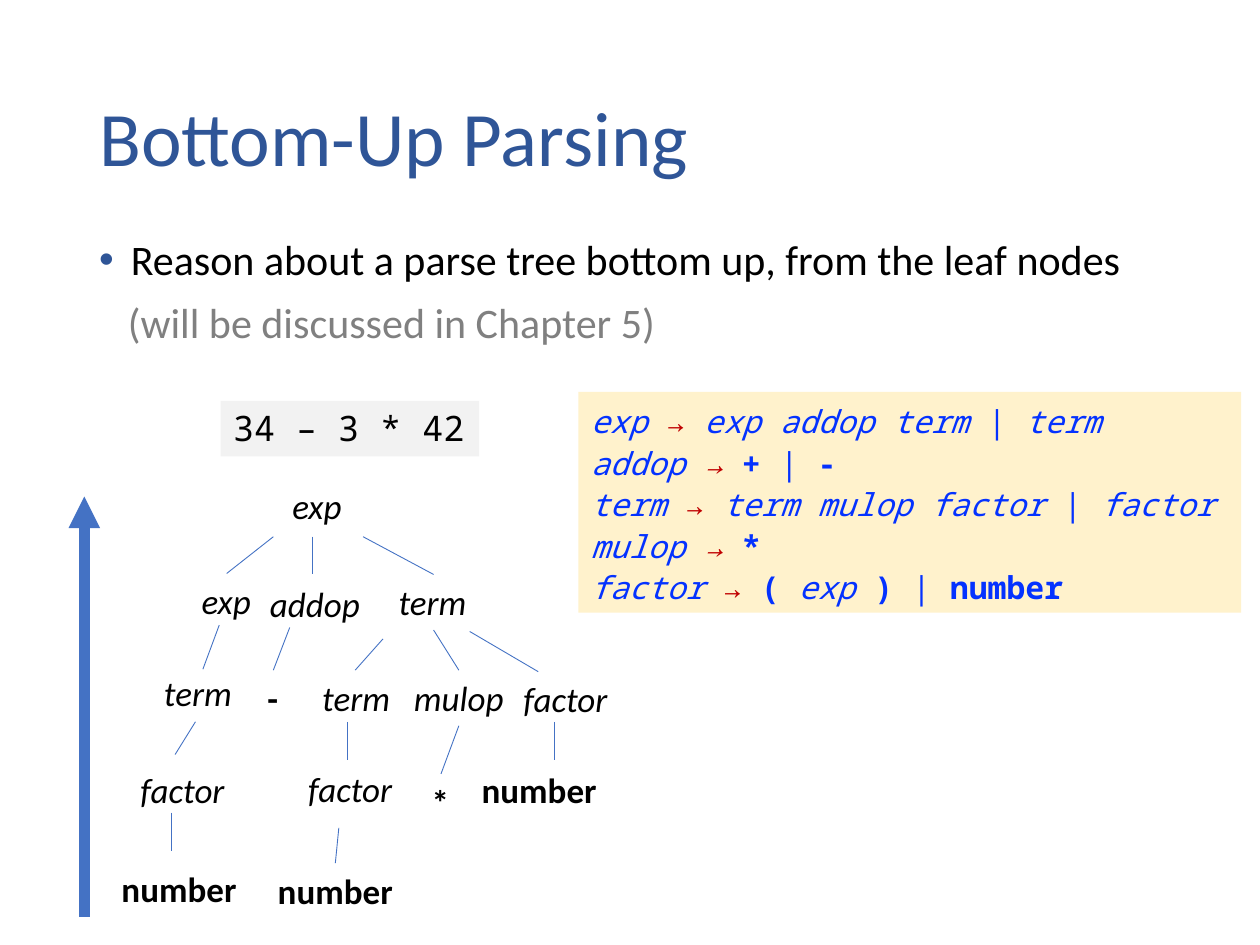
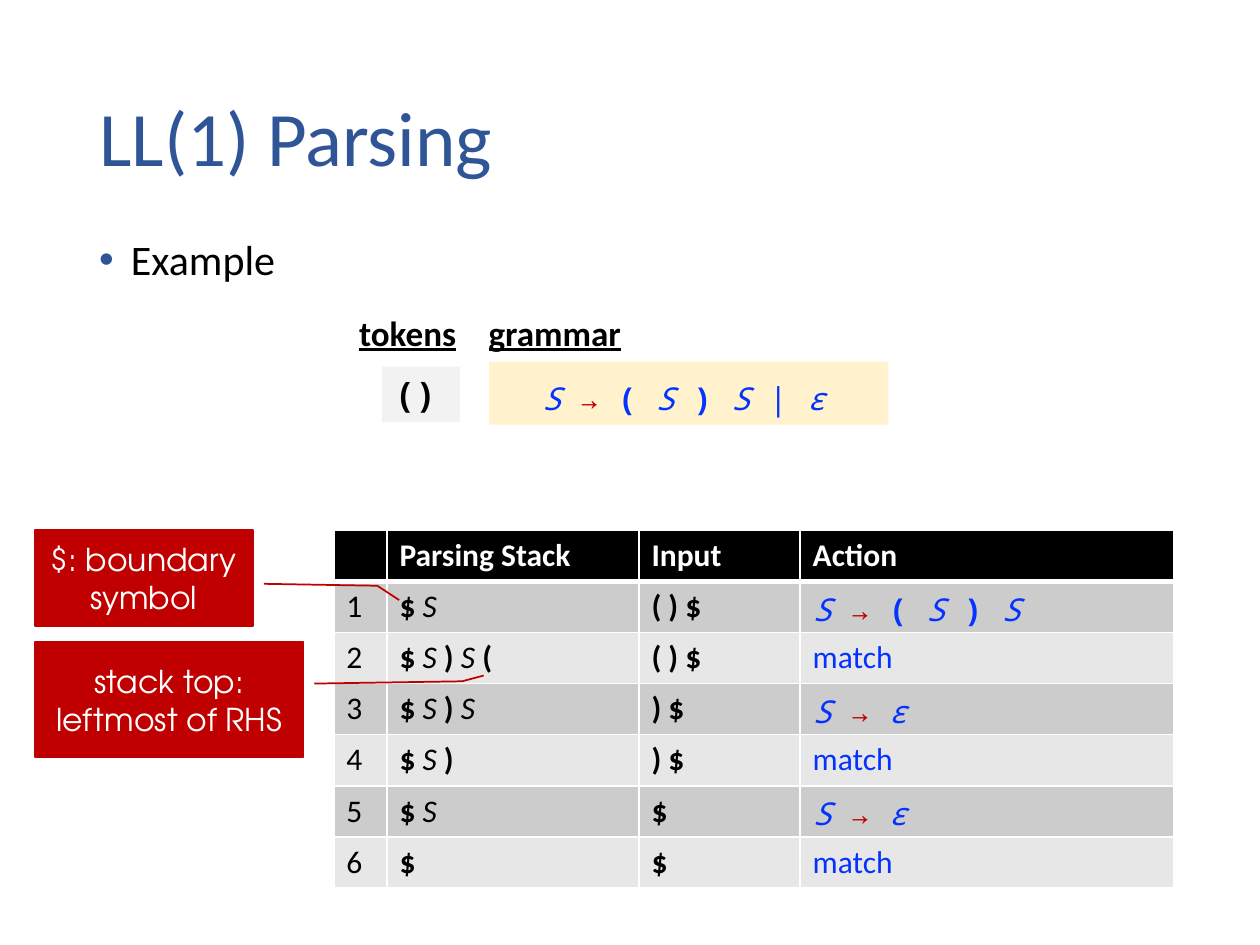
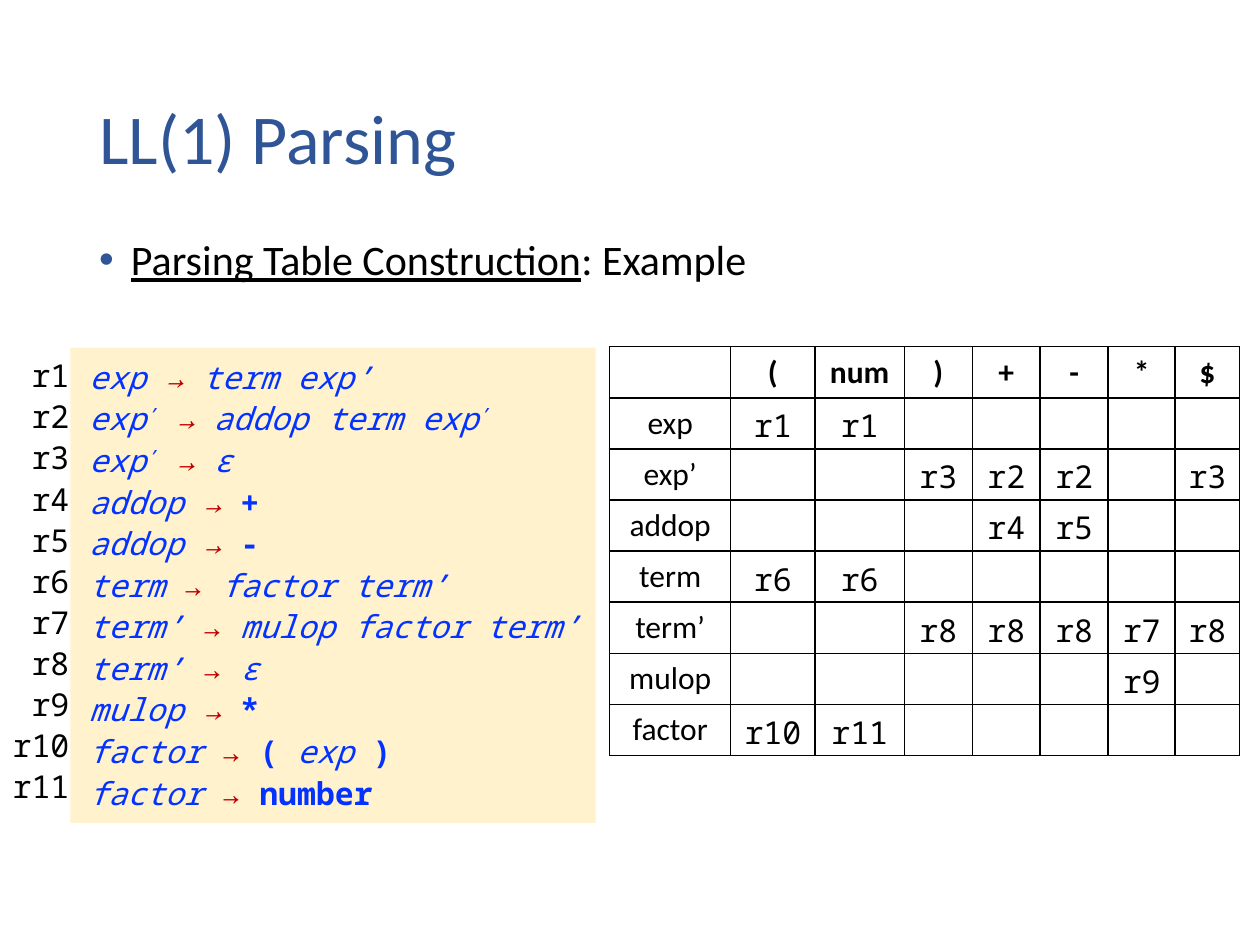
from itertools import groupby

from lxml.etree import SubElement
from pptx import Presentation
from pptx.dml.color import RGBColor
from pptx.enum.shapes import MSO_CONNECTOR, MSO_SHAPE
from pptx.enum.text import MSO_ANCHOR, MSO_AUTO_SIZE, PP_ALIGN
from pptx.oxml.ns import qn
from pptx.util import Cm, Pt

SANS, MONO, ROUND = "Calibri", "Noto Sans Mono", "TeX Gyre Adventor"
BLACK, WHITE, GRAY = "000000", "FFFFFF", "808080"
TITLE_BLUE, LINE_BLUE, RULE_BLUE = "2F5597", "4472C4", "0432FF"
RED, CREAM, PALE = "C00000", "FFF2CC", "F2F2F2"
BAND_DARK, BAND_LIGHT = "CCCCCC", "E7E7E7"
TERMINALS = {"+", "-", "*", "(", ")", "$", "number"}
CENTER, LEFT, RIGHT = PP_ALIGN.CENTER, PP_ALIGN.LEFT, PP_ALIGN.RIGHT


# Shared helpers
def rgb(hex_color):
    return RGBColor.from_string(hex_color)


def in_cm(box):
    return [Cm(length) for length in box]


def set_font(paragraph, name=SANS, size=20, color=BLACK, bold=False, italic=False):
    font = paragraph.font
    font.name, font.size = name, Pt(size)
    font.bold, font.italic = bold, italic
    font.color.rgb = rgb(color)


def write_line(paragraph, text, align=LEFT, **font):
    paragraph.text = text
    paragraph.alignment = align
    set_font(paragraph, **font)


def write_symbols(paragraph, text, name=MONO, color=RULE_BLUE):
    """Terminals are bold, nonterminals italic, arrows red.

    A slash before an arrow slants it, a caret raises what follows.
    """
    pieces = []
    tokens = text.split(" ")
    for position, token in enumerate(tokens):
        gap = " " if position < len(tokens) - 1 else ""
        arrow = token.endswith("→")
        bold = token in TERMINALS
        italic = token.startswith("/") or not (arrow or bold or token == "|")
        base, _, raised = token.lstrip("/").partition("^")
        for piece, is_raised in ((base, False), (raised, True), (gap, False)):
            if piece:
                pieces.append((piece, (bold, italic, arrow, is_raised)))
    set_font(paragraph, name, 18, color)
    for (bold, italic, arrow, is_raised), group in groupby(pieces, key=lambda p: p[1]):
        run = paragraph.add_run()
        run.text = "".join(piece for piece, _ in group)
        run.font.bold, run.font.italic = bold, italic
        if arrow:
            run.font.color.rgb = rgb(RED)
        if is_raised:
            run.font._element.set("baseline", "30000")


def add_panel(slide, box, fill, kind=MSO_SHAPE.RECTANGLE, line=None):
    panel = slide.shapes.add_shape(kind, *in_cm(box))
    panel.shadow.inherit = False
    panel.fill.solid()
    panel.fill.fore_color.rgb = rgb(fill)
    if line:
        panel.line.color.rgb = rgb(line)
        panel.line.width = Pt(1)
    else:
        panel.line.fill.background()
    panel.text_frame.word_wrap = True
    return panel


def add_label(slide, box, text, align=CENTER, **font):
    frame = slide.shapes.add_textbox(*in_cm(box)).text_frame
    frame.word_wrap = False
    write_line(frame.paragraphs[0], text, align, **font)
    return frame


def add_line(slide, ends, width):
    line = slide.shapes.add_connector(MSO_CONNECTOR.STRAIGHT, *in_cm(ends))
    line.line.color.rgb = rgb(LINE_BLUE)
    line.line.width = Pt(width)
    SubElement(line._element.spPr, qn("a:effectLst"))
    return line


# Title and bullet line
def add_topic_slide(prs, title, topic, title_size=44, underlined="", remark=""):
    slide = prs.slides.add_slide(prs.slide_layouts[5])
    heading = slide.shapes.title
    heading.left, heading.top, heading.width, heading.height = in_cm((1.75, 1.02, 21.9, 3.68))
    heading.text_frame.vertical_anchor = MSO_ANCHOR.MIDDLE
    heading.text_frame.auto_size = MSO_AUTO_SIZE.NONE
    heading_line = heading.text_frame.paragraphs[0]
    write_line(heading_line, title, size=title_size, color=TITLE_BLUE)
    heading_line.line_spacing = 0.9

    body = slide.shapes.add_textbox(*in_cm((1.75, 4.7, 23.65, 2.9 if remark else 1.68))).text_frame
    body.word_wrap = True
    bullet = body.paragraphs[0]
    bullet.line_spacing = 0.9
    props = bullet._p.get_or_add_pPr()
    props.set("marL", str(Cm(0.64)))
    props.set("indent", str(-Cm(0.64)))
    SubElement(SubElement(props, qn("a:buClr")), qn("a:srgbClr"), val=TITLE_BLUE)
    SubElement(props, qn("a:buFont"), typeface="Arial")
    SubElement(props, qn("a:buChar"), char="•")
    set_font(bullet, size=24)
    if underlined:
        run = bullet.add_run()
        run.text = underlined
        run.font.underline = True
    bullet.add_run().text = topic
    if remark:
        aside = body.add_paragraph()
        write_line(aside, remark, size=24, color=GRAY)
        aside.line_spacing = 0.9
        aside.space_before = Pt(10)
        aside._p.get_or_add_pPr().set("marL", str(Cm(0.58)))
    return slide


# Grammar rules and token chips
def add_grammar(slide, box, rules, inset_left=0.25, inset_top=0.13):
    frame = add_panel(slide, box, CREAM).text_frame
    frame.vertical_anchor = MSO_ANCHOR.TOP
    frame.margin_left, frame.margin_top = Cm(inset_left), Cm(inset_top)
    frame.margin_right = 0
    for number, rule in enumerate(rules):
        paragraph = frame.add_paragraph() if number else frame.paragraphs[0]
        paragraph.alignment = LEFT
        paragraph.line_spacing = 1.1
        write_symbols(paragraph, rule)


def add_token_chip(slide, box, tokens, bold=False):
    frame = add_panel(slide, box, PALE).text_frame
    frame.word_wrap = False
    frame.vertical_anchor = MSO_ANCHOR.TOP
    write_line(frame.paragraphs[0], tokens, name=MONO, bold=bold)


# Parse tree with the reading direction at its left
TREE_NODES = [  # symbol, centre, top
    ("exp", 4.89, 0),
    ("exp", 3.06, 1.91), ("addop", 4.85, 1.96), ("term", 7.22, 1.93),
    ("term", 2.49, 3.76), ("-", 4, 3.86), ("term", 5.68, 3.86),
    ("mulop", 7.75, 3.86), ("factor", 9.9, 3.89),
    ("factor", 2.18, 5.72), ("factor", 5.56, 5.69), ("*", 7.38, 5.95), ("number", 9.37, 5.72),
    ("number", 2.11, 7.72), ("number", 5.26, 7.75),
]
TREE_BRANCHES = [
    (4.01, 1.17, 3.07, 1.91), (4.8, 1.17, 4.8, 1.93), (5.82, 1.17, 7.24, 1.93),
    (2.92, 2.95, 2.59, 3.84), (4.34, 3, 4.01, 3.86), (6.22, 3.23, 5.66, 3.86),
    (7.24, 3.05, 7.75, 3.86), (7.97, 3.08, 9.35, 3.89),
    (2.44, 4.9, 2.03, 5.56), (5.51, 4.9, 5.51, 5.67),
    (7.75, 4.98, 7.39, 5.95), (9.68, 4.9, 9.68, 5.67),
    (1.95, 6.73, 1.95, 7.5), (5.33, 7.04, 5.26, 7.75),
]


def add_parse_tree(slide, left, top):
    def shifted(x1, y1, x2, y2):
        return left + x1, top + y1, left + x2, top + y2

    for branch in TREE_BRANCHES:
        add_line(slide, shifted(*branch), 0.5)
    for symbol, center, node_top in TREE_NODES:
        width = 0.6 + 0.42 * len(symbol)
        terminal = symbol in TERMINALS
        add_label(slide, (left + center - width / 2, top + node_top, width, 1.12),
                  symbol, bold=terminal, italic=not terminal)
    upward = add_line(slide, shifted(0.2, 0.36, 0.2, 8.84), 6)
    SubElement(upward.line._get_or_add_ln(), qn("a:headEnd"), type="triangle")


# Tables
def set_borders(cell, color, top=1, bottom=1):
    props = cell._tc.get_or_add_tcPr()
    for side, width in (("L", 1), ("R", 1), ("T", top), ("B", bottom)):
        edge = SubElement(props, qn("a:ln" + side), w=str(Pt(width)))
        SubElement(SubElement(edge, qn("a:solidFill")), qn("a:srgbClr"), val=color)


def add_grid(slide, left, top, widths, row_height, row_count):
    table = slide.shapes.add_table(
        row_count, len(widths),
        *in_cm((left, top, sum(widths), row_height * row_count))).table
    table.first_row = table.horz_banding = False
    for column, width in zip(table.columns, widths):
        column.width = Cm(width)
    for row in table.rows:
        row.height = Cm(row_height)
    return table


def add_trace_table(slide, left, top, header, steps):
    table = add_grid(slide, left, top, [1.07, 5.08, 3.25, 7.54], 1.03, len(steps) + 1)
    rows = [header] + [(str(n), *step) for n, step in enumerate(steps, 1)]
    for r, row in enumerate(rows):
        for c, text in enumerate(row):
            cell = table.cell(r, c)
            set_borders(cell, WHITE, top=3 if r == 1 else 1, bottom=1 if r else 3)
            cell.fill.solid()
            cell.fill.fore_color.rgb = rgb((BAND_DARK if r % 2 else BAND_LIGHT) if r else BLACK)
            paragraph = cell.text_frame.paragraphs[0]
            if r == 0:
                write_line(paragraph, text, size=18, color=WHITE, bold=True)
            elif "→" in text:
                write_symbols(paragraph, text)
            elif c in (1, 2):
                write_symbols(paragraph, text, SANS, BLACK)
            else:
                write_line(paragraph, text, size=18, color=RULE_BLUE if c else BLACK)


def add_parsing_table(slide, left, top, lookaheads, entries):
    widths = [2.44, 1.7, 1.8, 1.37, 1.37, 1.37, 1.35, 1.3]
    table = add_grid(slide, left, top, widths, 1.03, len(entries) + 1)
    rows = [["", *lookaheads]]
    for symbol, choices in entries.items():
        rows.append([symbol] + [choices.get(lookahead, "") for lookahead in lookaheads])
    for r, row in enumerate(rows):
        for c, text in enumerate(row):
            cell = table.cell(r, c)
            set_borders(cell, BLACK)
            cell.fill.background()
            write_line(cell.text_frame.paragraphs[0], text, CENTER,
                       name=MONO if r and c else SANS, size=18, bold=r == 0)


# Callouts and rule numbers
def add_callout(slide, box, text, pointer):
    callout = add_panel(slide, box, RED, MSO_SHAPE.LINE_CALLOUT_2, RED)
    for index, value in enumerate(pointer):
        callout.adjustments[index] = value
    callout.text_frame.vertical_anchor = MSO_ANCHOR.MIDDLE
    write_line(callout.text_frame.paragraphs[0], text, CENTER, name=ROUND, size=18, color=WHITE)


def add_rule_numbers(slide, box, count):
    frame = add_label(slide, box, "r1", RIGHT, name=MONO, size=18)
    for number in range(2, count + 1):
        write_line(frame.add_paragraph(), f"r{number}", RIGHT, name=MONO, size=18)
    for paragraph in frame.paragraphs:
        paragraph.line_spacing = Pt(23.5)


# Slides
def build_bottom_up(prs):
    slide = add_topic_slide(prs, "Bottom-Up Parsing",
                            "Reason about a parse tree bottom up, from the leaf nodes",
                            remark="(will be discussed in Chapter 5)")
    add_parse_tree(slide, 1.5, 9.65)
    add_token_chip(slide, (4.45, 8.08, 5.21, 1.12), "34 – 3 * 42")
    add_grammar(slide, (11.66, 7.9, 13.36, 4.45), [
        "exp → exp addop term | term",
        "addop /→ + | -",
        "term → term mulop factor | factor",
        "mulop /→ *",
        "factor → ( exp ) | number",
    ])


def build_trace(prs):
    slide = add_topic_slide(prs, "LL(1) Parsing", "Example")
    add_token_chip(slide, (7.7, 7.39, 1.57, 1.12), "()", bold=True)
    add_grammar(slide, (9.86, 7.29, 8.05, 1.27), ["S → ( S ) S | ε"], 1.07, 0.28)
    add_trace_table(slide, 6.73, 10.69, ("", "Parsing Stack", "Input", "Action"), [
        ("$ S", "( ) $", "S → ( S ) S"),
        ("$ S ) S (", "( ) $", "match"),
        ("$ S ) S", ") $", "S → ε"),
        ("$ S )", ") $", "match"),
        ("$ S", "$", "S → ε"),
        ("$", "$", "match"),
    ])
    add_callout(slide, (0.7, 12.95, 5.42, 2.31), "stack top: leftmost of RHS",
                (0.36, 1.04, 0.34, 1.59, 0.29, 1.67))
    add_callout(slide, (0.7, 10.69, 4.4, 1.93), "$: boundary symbol",
                (0.56, 1.05, 0.58, 1.57, 0.73, 1.67))
    for caption, left, width in (("tokens", 6.99, 2.49), ("grammar", 9.6, 3.2)):
        frame = add_label(slide, (left, 6.15, width, 1.12), caption, LEFT, bold=True)
        frame.paragraphs[0].font.underline = True


def build_table_construction(prs):
    slide = add_topic_slide(prs, "LL(1) Parsing", ": Example", title_size=40,
                            underlined="Parsing Table Construction")
    rules = [
        "exp /→ term exp’",
        "exp^’ /→ addop term exp^’",
        "exp^’ /→ ε",
        "addop /→ +",
        "addop /→ -",
        "term → factor term’",
        "term’ → mulop factor term’",
        "term’ → ε",
        "mulop /→ *",
        "factor → ( exp )",
        "factor → number",
    ]
    add_grammar(slide, (1.42, 7.01, 10.59, 9.58), rules, inset_left=0.38)
    add_parsing_table(slide, 12.29, 6.99, ["(", "num", ")", "+", "-", "*", "$"], {
        "exp": {"(": "r1", "num": "r1"},
        "exp’": {")": "r3", "+": "r2", "-": "r2", "$": "r3"},
        "addop": {"+": "r4", "-": "r5"},
        "term": {"(": "r6", "num": "r6"},
        "term’": {")": "r8", "+": "r8", "-": "r8", "*": "r7", "$": "r8"},
        "mulop": {"*": "r9"},
        "factor": {"(": "r10", "num": "r11"},
    })
    add_rule_numbers(slide, (0, 6.99, 1.65, 9.63), len(rules))


def main():
    prs = Presentation()
    prs.slide_width, prs.slide_height = Cm(25.4), Cm(19.05)
    build_bottom_up(prs)
    build_trace(prs)
    build_table_construction(prs)
    prs.save("out.pptx")


if __name__ == "__main__":
    main()
